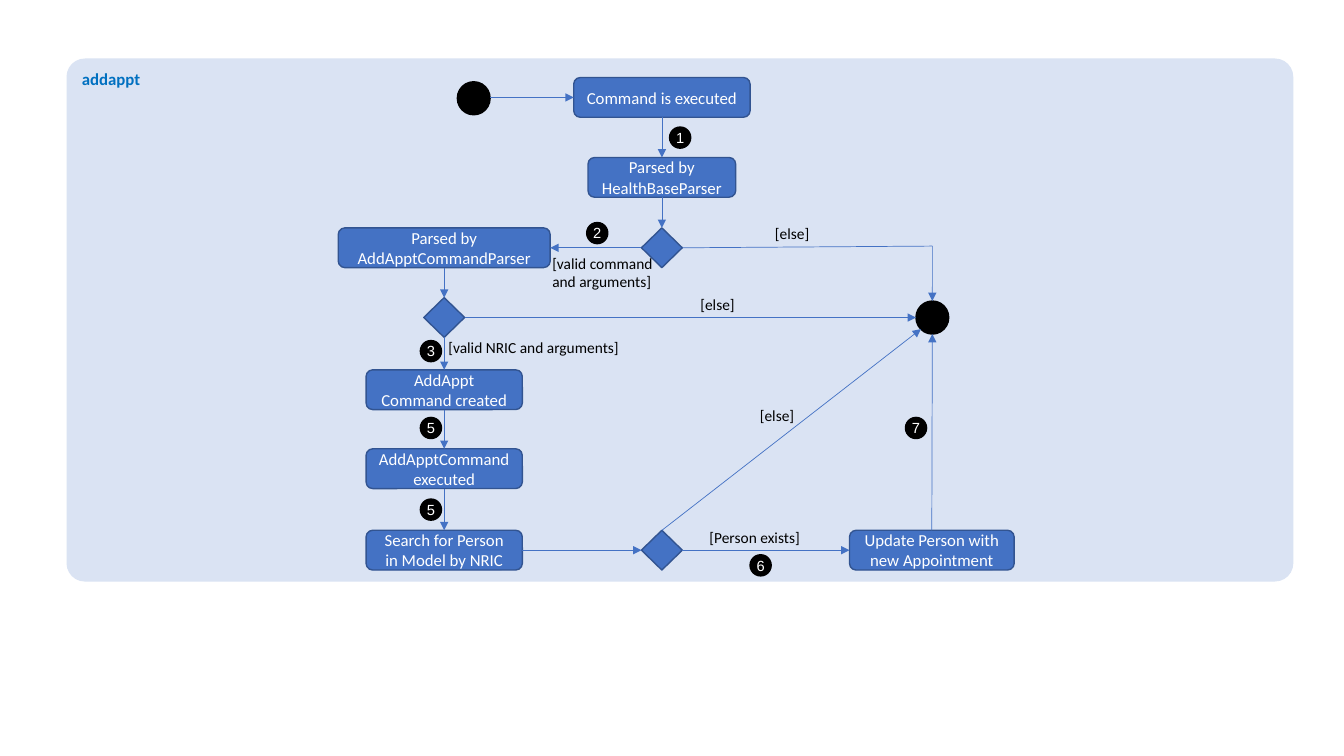
import pptx
import pptx.util
import pptx.dml.color
import pptx.enum.shapes
import pptx.enum.text
import pptx.oxml.ns
import lxml.etree

Pt = pptx.util.Pt
SHAPES = pptx.enum.shapes.MSO_SHAPE
COLORS = {"panel": "DAE3F3", "title": "0070C0", "node": "4472C4",
          "border": "325491", "black": "000000", "white": "FFFFFF"}

# Column and row centres of the flow, in points
LEFT, MIDDLE, RIGHT = 317.3, 472.8, 666
ROWS = [69.6, 126.7, 177, 226.8, 278.4, 334.8, 393]
NODE_HEIGHT = 28.4

# Anchor positions as fractions of a shape's width and height
TOP, BOTTOM, WEST, EAST = (0.5, 0), (0.5, 1), (0, 0.5), (1, 0.5)
SOUTHWEST = (0.15, 0.85)


def color(name):
    return pptx.dml.color.RGBColor.from_string(COLORS[name])


def write_text(shape, text, size=12, font="Calibri", fill="white", bold=False,
               align="CENTER", anchor="MIDDLE", margin=None, wrap=True):
    frame = shape.text_frame
    frame.word_wrap = wrap
    frame.vertical_anchor = getattr(pptx.enum.text.MSO_ANCHOR, anchor)
    if margin is not None:
        frame.margin_left = frame.margin_right = Pt(margin)
        frame.margin_top = frame.margin_bottom = Pt(margin)
    paragraph = frame.paragraphs[0]
    paragraph.alignment = getattr(pptx.enum.text.PP_ALIGN, align)
    run = paragraph.add_run()
    run.text = text
    run.font.size = Pt(size)
    run.font.name = font
    run.font.bold = bold
    run.font.color.rgb = color(fill)


def add_centered(slide, kind, x, y, width, height, fill="node", border="border"):
    shape = slide.shapes.add_shape(kind, Pt(x - width / 2), Pt(y - height / 2),
                                   Pt(width), Pt(height))
    shape.shadow.inherit = False
    shape.fill.solid()
    shape.fill.fore_color.rgb = color(fill)
    if border:
        shape.line.color.rgb = color(border)
        shape.line.width = Pt(1)
    else:
        shape.line.fill.background()
    return shape


def add_action(slide, x, y, width, text):
    shape = add_centered(slide, SHAPES.ROUNDED_RECTANGLE, x, y, width, NODE_HEIGHT)
    write_text(shape, text)
    return shape


def add_decision(slide, x, y):
    return add_centered(slide, SHAPES.DIAMOND, x, y, 29.2, NODE_HEIGHT)


def add_terminal(slide, x, y):
    return add_centered(slide, SHAPES.OVAL, x, y, 23.4, 23.6, "black", "black")


def add_badge(slide, x, y, number):
    shape = add_centered(slide, SHAPES.OVAL, x, y, 15.1, 15.1, "black", "black")
    write_text(shape, number, size=10.5, font="Arial", margin=0, wrap=False)


def add_label(slide, x, y, width, height, text):
    box = slide.shapes.add_textbox(Pt(x), Pt(y), Pt(width), Pt(height))
    write_text(box, text, size=11, fill="black", align="LEFT", anchor="TOP")


def anchor_point(shape, fractions):
    return (shape.left + int(shape.width * fractions[0]),
            shape.top + int(shape.height * fractions[1]))


def add_line(slide, start, end, arrow=True):
    connector = slide.shapes.add_connector(
        pptx.enum.shapes.MSO_CONNECTOR.STRAIGHT, *start, *end)
    connector.line.color.rgb = color("node")
    connector.line.width = Pt(0.5)
    properties = connector._element.find(pptx.oxml.ns.qn("p:spPr"))
    if arrow:
        outline = properties.find(pptx.oxml.ns.qn("a:ln"))
        lxml.etree.SubElement(outline, pptx.oxml.ns.qn("a:tailEnd"), type="triangle")
    lxml.etree.SubElement(properties, pptx.oxml.ns.qn("a:effectLst"))


def main():
    presentation = pptx.Presentation()
    presentation.slide_width, presentation.slide_height = Pt(960), Pt(540)
    slide = presentation.slides.add_slide(presentation.slide_layouts[6])

    # Panel
    panel = add_centered(slide, SHAPES.ROUNDED_RECTANGLE, 485.7, 228.6, 876.3, 373.6,
                         "panel", None)
    panel.adjustments[0] = 0.035
    write_text(panel, "addappt", fill="title", bold=True, align="LEFT", anchor="TOP")

    # Nodes
    start = add_terminal(slide, 338.4, 70.2)
    execute = add_action(slide, MIDDLE, ROWS[0], 126, "Command is executed")
    parse_base = add_action(slide, MIDDLE, ROWS[1], 105.5, "Parsed by HealthBaseParser")
    parse_add = add_action(slide, LEFT, ROWS[2], 151.4, "Parsed by AddApptCommandParser")
    create, run_command, search = [
        add_action(slide, LEFT, y, 111.6, text) for y, text in zip(ROWS[4:], [
            "AddAppt Command created", "AddApptCommand executed",
            "Search for Person in Model by NRIC"])]
    update = add_action(slide, 665.6, ROWS[6], 117.6, "Update Person with new Appointment")
    valid_command = add_decision(slide, MIDDLE, ROWS[2])
    valid_nric = add_decision(slide, LEFT, ROWS[3])
    person_exists = add_decision(slide, MIDDLE, ROWS[6])
    finish = add_terminal(slide, RIGHT, ROWS[3])

    # Arrows between nodes
    for source, source_side, target, target_side in [
            (execute, BOTTOM, parse_base, TOP),
            (parse_base, BOTTOM, valid_command, TOP),
            (valid_command, WEST, parse_add, EAST),
            (parse_add, BOTTOM, valid_nric, TOP),
            (valid_nric, BOTTOM, create, TOP),
            (create, BOTTOM, run_command, TOP),
            (run_command, BOTTOM, search, TOP),
            (search, EAST, person_exists, WEST),
            (person_exists, EAST, update, WEST),
            (update, TOP, finish, BOTTOM),
            (person_exists, TOP, finish, SOUTHWEST),
            (valid_nric, EAST, finish, WEST)]:
        add_line(slide, anchor_point(source, source_side),
                 anchor_point(target, target_side))
    start_x, _ = anchor_point(start, EAST)
    execute_point = anchor_point(execute, WEST)
    add_line(slide, (start_x, execute_point[1]), execute_point)

    # Two-part branch from the first decision to the end
    corner = (Pt(RIGHT), Pt(175.8))
    add_line(slide, anchor_point(valid_command, EAST), corner, arrow=False)
    add_line(slide, corner, anchor_point(finish, TOP))

    # Branch conditions
    add_label(slide, 387.4, 177.8, 90.7, 33.8, "[valid command and arguments]")
    add_label(slide, 313.2, 238.3, 148.3, 20.6, "[valid NRIC and arguments]")
    add_label(slide, 499.7, 373.7, 96.5, 20.6, "[Person exists]")
    for x, y in [(493.2, 207.4), (546.5, 156.2), (535.7, 286.6)]:
        add_label(slide, x, y, 96.5, 20.6, "[else]")

    # Step numbers
    for x, y, number in [(485.8, 98.3, "1"), (426.6, 166.5, "2"), (307.8, 250.8, "3"),
                         (307.8, 305.7, "5"), (307.8, 364, "5"), (543.3, 403.8, "6"),
                         (654.3, 305.7, "7")]:
        add_badge(slide, x, y, number)

    presentation.save("out.pptx")


main()
